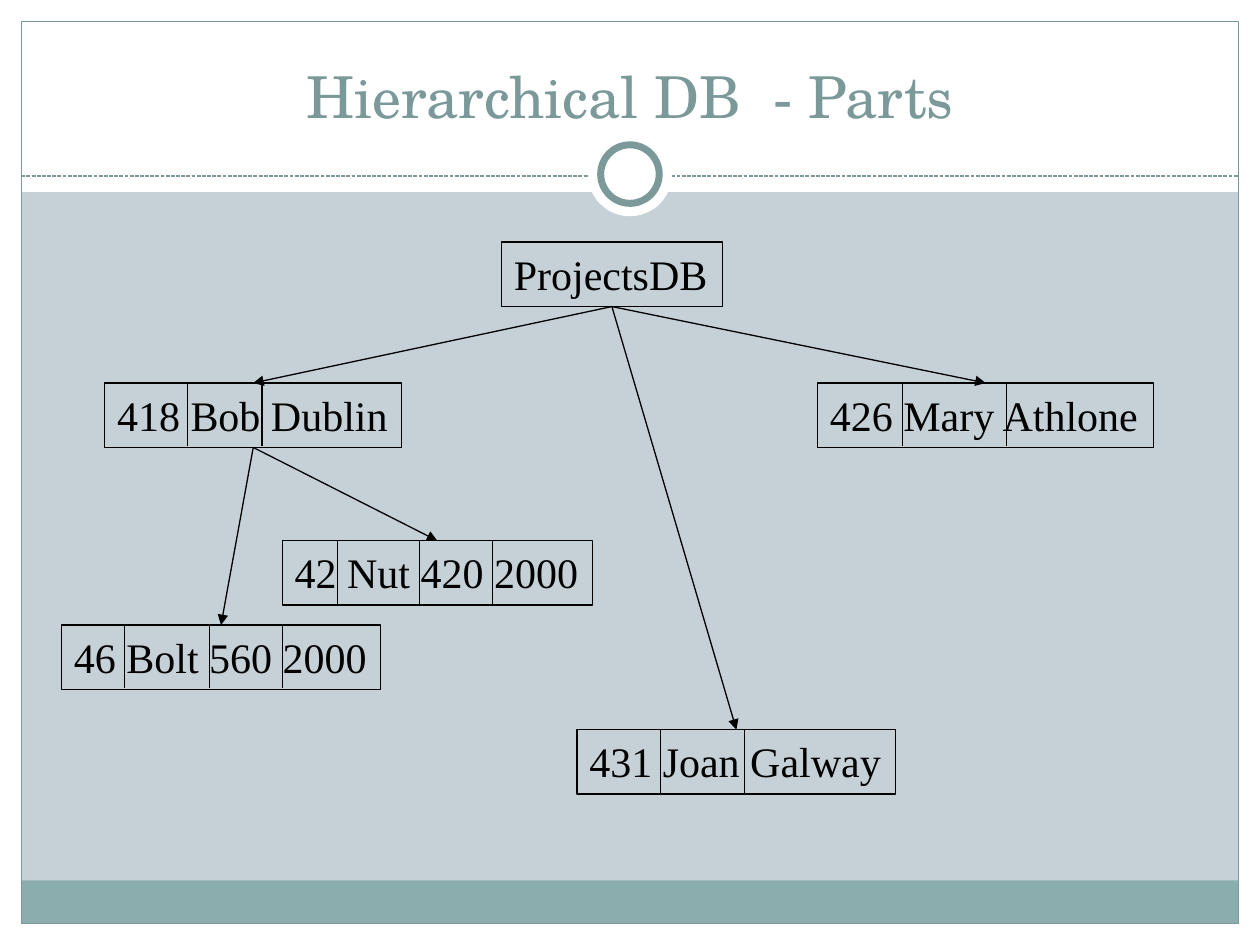
from dataclasses import dataclass

from lxml import etree
from pptx import Presentation
from pptx.dml.color import RGBColor
from pptx.enum.dml import MSO_LINE
from pptx.enum.shapes import MSO_CONNECTOR, MSO_SHAPE
from pptx.enum.text import MSO_ANCHOR, MSO_AUTO_SIZE, PP_ALIGN
from pptx.oxml.ns import qn
from pptx.util import Cm, Pt

RECT, OVAL = MSO_SHAPE.RECTANGLE, MSO_SHAPE.OVAL
STRAIGHT = MSO_CONNECTOR.STRAIGHT
DASH = MSO_LINE.SQUARE_DOT
BOTTOM, CENTER = MSO_ANCHOR.BOTTOM, PP_ALIGN.CENTER
FIT_TEXT = MSO_AUTO_SIZE.SHAPE_TO_FIT_TEXT
TOP_SIDE, BOTTOM_SIDE = 0, 2

WHITE = RGBColor(0xFF, 0xFF, 0xFF)
BLACK = RGBColor(0, 0, 0)
PALE_BLUE = RGBColor(0xC5, 0xD1, 0xD7)
TEAL = RGBColor(0x8C, 0xAD, 0xAE)
DARK_TEAL = RGBColor(0x7C, 0x99, 0x9A)

WIDTH, HEIGHT = 25.4, 19.05
MARGIN = 0.43
RECORD_HEIGHT, DIVIDER_HEIGHT = 1.3, 1.27


@dataclass(frozen=True)
class Panel:
    """A plain frame part; lengths in centimetres."""
    kind: int
    left: float
    top: float
    width: float
    height: float
    fill: RGBColor | None = None
    line: RGBColor | None = None
    weight: float = 0.75


@dataclass(frozen=True)
class Record:
    """A database record with dividers between its fields."""
    text: str
    left: float
    top: float
    width: float
    dividers: tuple[float, ...] = ()
    parent: str | None = None


FRAME = [
    Panel(RECT, 0, HEIGHT - MARGIN, WIDTH, MARGIN, WHITE),
    Panel(RECT, 0, 0, WIDTH, 3.87, WHITE),
    Panel(RECT, 0, 0, MARGIN, HEIGHT, WHITE),
    Panel(RECT, WIDTH - MARGIN, 0, MARGIN, HEIGHT, WHITE),
    Panel(RECT, MARGIN, 17.75, WIDTH - 2 * MARGIN, 0.87, TEAL),
    Panel(RECT, MARGIN, MARGIN, WIDTH - 2 * MARGIN, HEIGHT - 2 * MARGIN, line=DARK_TEAL),
]
MEDALLION = [
    Panel(OVAL, 11.85, 2.66, 1.7, 1.7, WHITE),
    Panel(OVAL, 12.11, 2.92, 1.18, 1.18, WHITE, DARK_TEAL, 4),
]
ROOT, BOB = "ProjectsDB", "418 Bob Dublin"
RECORDS = [
    Record(ROOT, 10.11, 4.88, 4.45),
    Record(BOB, 2.11, 7.72, 5.99, (3.78, 5.28), ROOT),
    Record("431 Joan Galway", 11.63, 14.71, 6.43, (13.31, 15.01), ROOT),
    Record("426 Mary Athlone", 16.48, 7.72, 6.78, (18.19, 20.29), ROOT),
    Record("42 Nut 420 2000", 5.69, 10.9, 6.25, (6.81, 8.46, 9.93), BOB),
    Record("46 Bolt 560 2000", 1.24, 12.6, 6.43, (2.51, 4.22, 5.69), BOB),
]


def draw_panel(slide, panel: Panel) -> None:
    shape = slide.shapes.add_shape(
        panel.kind, Cm(panel.left), Cm(panel.top), Cm(panel.width), Cm(panel.height))
    shape.shadow.inherit = False
    if panel.fill is None:
        shape.fill.background()
    else:
        shape.fill.solid()
        shape.fill.fore_color.rgb = panel.fill
    if panel.line is None:
        shape.line.fill.background()
    else:
        shape.line.color.rgb = panel.line
        shape.line.width = Pt(panel.weight)


def draw_line(slide, x1: float, y1: float, x2: float, y2: float, color: RGBColor = BLACK):
    line = slide.shapes.add_connector(STRAIGHT, Cm(x1), Cm(y1), Cm(x2), Cm(y2))
    line.line.color.rgb = color
    line.line.width = Pt(0.75)
    etree.SubElement(line._element.spPr, qn("a:effectLst"))
    return line


def draw_text(slide, text: str, left: float, top: float, width: float, height: float,
              font: str, size: float, color: RGBColor):
    box = slide.shapes.add_textbox(Cm(left), Cm(top), Cm(width), Cm(height))
    paragraph = box.text_frame.paragraphs[0]
    paragraph.text = text
    paragraph.font.name = font
    paragraph.font.size = Pt(size)
    paragraph.font.color.rgb = color
    return box


def draw_record(slide, record: Record):
    box = draw_text(slide, record.text, record.left, record.top, record.width,
                    RECORD_HEIGHT, "Times New Roman", 24, BLACK)
    box.text_frame.word_wrap = False
    box.text_frame.auto_size = FIT_TEXT
    box.line.color.rgb = BLACK
    box.line.width = Pt(0.75)
    return box


def draw_link(slide, parent, child) -> None:
    link = draw_line(slide, 0, 0, 0, 0)
    link.begin_connect(parent, BOTTOM_SIDE)
    link.end_connect(child, TOP_SIDE)
    etree.SubElement(link.line._get_or_add_ln(), qn("a:tailEnd"), type="triangle")


def main() -> None:
    prs = Presentation()
    prs.slide_width, prs.slide_height = Cm(WIDTH), Cm(HEIGHT)
    slide = prs.slides.add_slide(prs.slide_layouts[6])
    slide.background.fill.solid()
    slide.background.fill.fore_color.rgb = PALE_BLUE

    # Frame, dashed rule and medallion
    for panel in FRAME:
        draw_panel(slide, panel)
    rule = draw_line(slide, MARGIN, 3.55, WIDTH - MARGIN, 3.55, DARK_TEAL)
    rule.line.dash_style = DASH
    for panel in MEDALLION:
        draw_panel(slide, panel)

    # Title
    title = draw_text(slide, "Hierarchical DB  - Parts", 0.85, 0.64, 23.7, 2.11,
                      "TeX Gyre Schola", 33, DARK_TEAL)
    title.text_frame.word_wrap = True
    title.text_frame.vertical_anchor = BOTTOM
    title.text_frame.paragraphs[0].alignment = CENTER

    # Record tree
    boxes = {record.text: draw_record(slide, record) for record in RECORDS}
    for record in RECORDS:
        if record.parent:
            draw_link(slide, boxes[record.parent], boxes[record.text])
        for x in record.dividers:
            draw_line(slide, x, record.top, x, record.top + DIVIDER_HEIGHT)

    prs.save("out.pptx")


if __name__ == "__main__":
    main()
